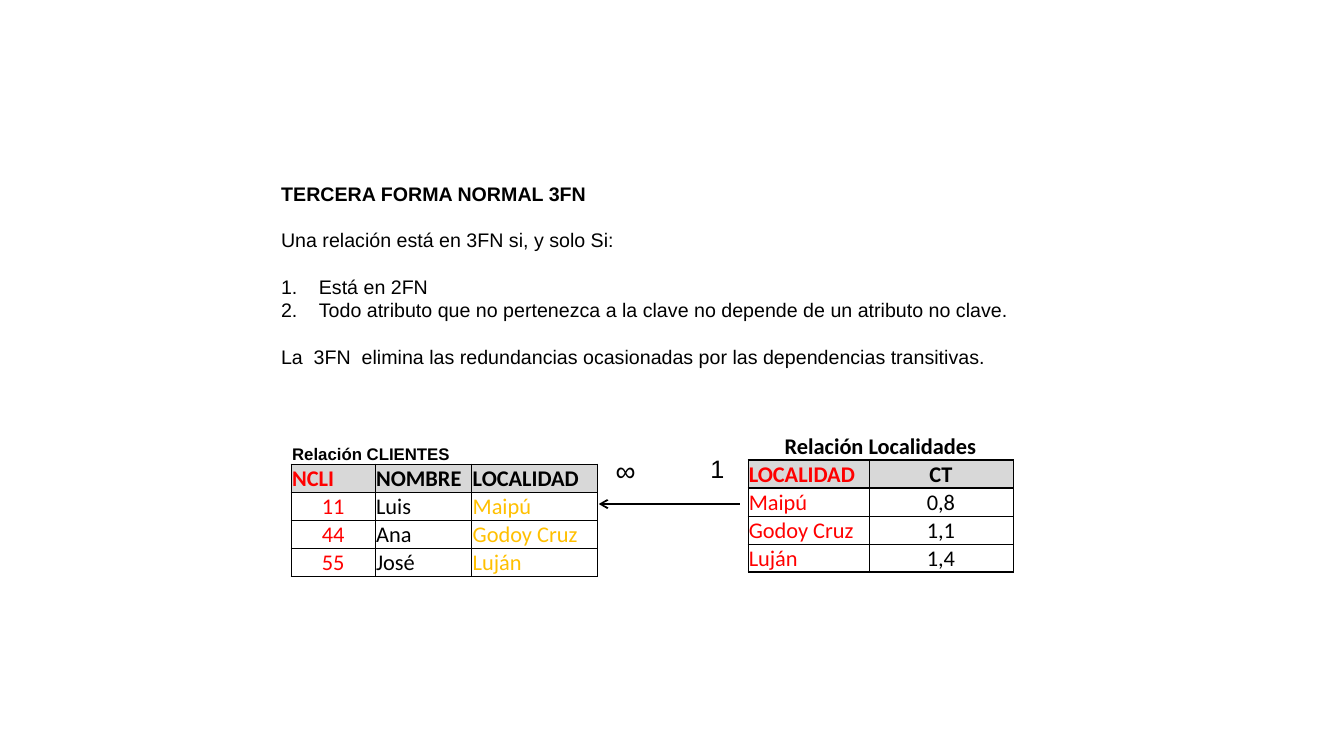
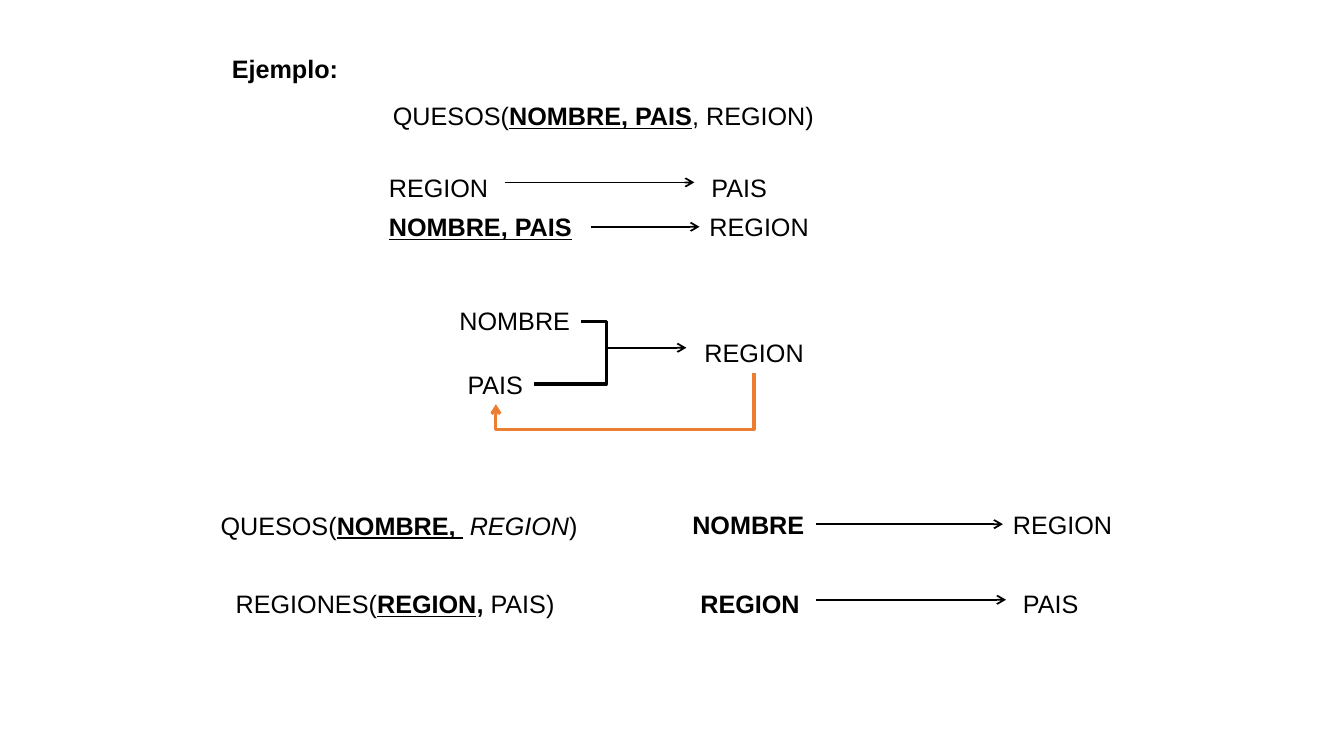
from lxml.etree import SubElement as Sub
from pptx import Presentation
from pptx.dml.color import RGBColor as Rgb
from pptx.enum.shapes import MSO_CONNECTOR as Link
from pptx.enum.text import MSO_ANCHOR as Anchor, MSO_AUTO_SIZE as Fit, PP_ALIGN as Align
from pptx.oxml.ns import qn
from pptx.util import Pt

INK = {"black": "000000", "red": "FF0000", "gold": "FFC000",
       "gray": "D8D8D8", "rust": "ED7D31"}
SIDE = {"l": Align.LEFT, "c": Align.CENTER}


class Deck:
    face = "Arial"
    size = 18
    tall = 29
    row = 20
    lead = 16.8

    def __init__(self):
        self.file = Presentation()
        self.file.slide_width = Pt(960)
        self.file.slide_height = Pt(540)
        self.page = None

    def ink(self, name):
        return Rgb.from_string(INK[name])

    def style(self, para, size=None, face=None, ink="black", bold=False):
        for run in para.runs:
            font = run.font
            font.name = face or self.face
            font.size = Pt(size or self.size)
            font.color.rgb = self.ink(ink)
            font.bold = bold

    def start(self, text, x, y, wide, size=None):
        self.page = self.file.slides.add_slide(self.file.slide_layouts[5])
        head = self.page.shapes.title
        head.left, head.top = Pt(x), Pt(y)
        head.width, head.height = Pt(wide), Pt(self.tall)
        frame = head.text_frame
        frame.text = text
        frame.auto_size = Fit.NONE
        frame.vertical_anchor = Anchor.TOP
        frame.paragraphs[0].alignment = Align.LEFT
        self.style(frame.paragraphs[0], size, bold=True)

    def box(self, x, y, wide, tall):
        return self.page.shapes.add_textbox(Pt(x), Pt(y), Pt(wide), Pt(tall)).text_frame

    def label(self, x, y, wide, *parts, size=None):
        frame = self.box(x, y, wide, self.tall)
        frame.word_wrap = False
        frame.auto_size = Fit.SHAPE_TO_FIT_TEXT
        para = frame.paragraphs[0]
        for text, _ in parts:
            para.add_run().text = text
        self.style(para, size)
        for run, (_, look) in zip(para.runs, parts):
            run.font.bold = "b" in look
            run.font.underline = "u" in look
            run.font.italic = "i" in look

    def notes(self, x, y, wide, tall, size, lines):
        frame = self.box(x, y, wide, tall)
        frame.word_wrap = True
        frame.text = "\n".join(text for text, _, _ in lines)
        for para, (_, gap, count) in zip(frame.paragraphs, lines):
            para.line_spacing = Pt(self.lead)
            para.space_before = Pt(self.lead if gap else 0)
            if count:
                prop = para._p.get_or_add_pPr()
                prop.set("marL", str(Pt(27)))
                prop.set("indent", str(-Pt(27)))
                Sub(prop, qn("a:buFont"), typeface="+mj-lt")
                Sub(prop, qn("a:buAutoNum"), type="arabicPeriod")
            self.style(para, size)

    def line(self, x, y, to_x, to_y, ink="black", thick=1.25, tip=True, kind=Link.STRAIGHT):
        link = self.page.shapes.add_connector(kind, Pt(x), Pt(y), Pt(to_x), Pt(to_y))
        link.line.color.rgb = self.ink(ink)
        link.line.width = Pt(thick)
        if tip:
            Sub(link.line._get_or_add_ln(), qn("a:tailEnd"), type="arrow")
        prop = link._element.spPr
        Sub(prop, qn("a:effectLst"))
        return prop

    def arrow(self, x, y, to_x):
        self.line(x, y, to_x, y)

    def elbow(self, x, y, to_x, to_y, bend, ink="black", tip=False, turn=False):
        if turn:
            mid_x, mid_y = (x + to_x) / 2, (y + to_y) / 2
            half_w, half_h = (to_y - y) / 2, (x - to_x) / 2
            x, to_x = mid_x - half_w, mid_x + half_w
            y, to_y = mid_y - half_h, mid_y + half_h
        prop = self.line(x, y, to_x, to_y, ink, 2.25, tip, Link.ELBOW)
        if turn:
            prop.find(qn("a:xfrm")).set("rot", "5400000")
        shape = prop.find(qn("a:prstGeom"))
        guide = shape.find(qn("a:avLst"))
        if guide is None:
            guide = Sub(shape, qn("a:avLst"))
        Sub(guide, qn("a:gd"), name="adj1", fmla=f"val {round(bend * 100000)}")

    def edge(self, cell, sides):
        prop = cell._tc.get_or_add_tcPr()
        for side in "LRTB":
            if side in sides:
                rule = Sub(prop, qn(f"a:ln{side}"), w=str(Pt(sides[side])))
                fill = Sub(rule, qn("a:solidFill"))
                Sub(fill, qn("a:srgbClr"), val=INK["black"])

    def cell(self, cell, text, side, **look):
        cell.margin_left = cell.margin_right = cell.margin_top = Pt(0.7)
        cell.margin_bottom = 0
        cell.vertical_anchor = Anchor.BOTTOM
        para = cell.text_frame.paragraphs[0]
        para.text = text
        para.alignment = SIDE[side]
        self.style(para, **look)

    def grid(self, x, y, cols, rows, name, inks, sides, left=0.5):
        text, side, face, size, high = name
        tall = high + self.row * len(rows)
        grid = self.page.shapes.add_table(
            len(rows) + 1, len(cols), Pt(x), Pt(y), Pt(sum(cols)), Pt(tall)).table
        grid.first_row = grid.horz_banding = False
        for col, wide in zip(grid.columns, cols):
            col.width = Pt(wide)
        for i, row in enumerate(grid.rows):
            row.height = Pt(self.row if i else high)
        for j in range(len(cols)):
            cap = grid.cell(0, j)
            self.edge(cap, {"B": 1})
            cap.fill.background()
        grid.cell(0, 0).merge(grid.cell(0, len(cols) - 1))
        self.cell(grid.cell(0, 0), text, side, size=size, face=face, bold=True)
        for i, row in enumerate(rows, 1):
            top = i == 1
            for j, word in enumerate(row):
                cell = grid.cell(i, j)
                self.edge(cell, {"L": 0.5 if j else left, "R": 0.5,
                                 "T": 1 if i < 3 else 0.5,
                                 "B": 1 if i in (1, len(rows)) else 0.5})
                if top:
                    cell.fill.solid()
                    cell.fill.fore_color.rgb = self.ink("gray")
                else:
                    cell.fill.background()
                self.cell(cell, word, sides[not top][j], size=16, face="Calibri",
                          ink=inks[not top][j], bold=top)


def form(deck):
    deck.start("TERCERA FORMA NORMAL 3FN", 193.7, 126, 669.6, 14)
    deck.notes(193.7, 159, 669.6, 126, 14, [
        ("Una relación está en 3FN si, y solo Si:", False, False),
        ("Está en 2FN", True, True),
        ("Todo atributo que no pertenezca a la clave no depende de un atributo no clave.",
         False, True),
        ("La  3FN  elimina las redundancias ocasionadas por las dependencias transitivas.",
         True, False)])
    deck.grid(208, 314.6, (60, 69, 90), [
        ("NCLI", "NOMBRE", "LOCALIDAD"),
        ("11", "Luis", "Maipú"),
        ("44", "Ana", "Godoy Cruz"),
        ("55", "José", "Luján")],
        ("Relación CLIENTES", "l", "Arial", 12, 17),
        (("red", "black", "black"), ("red", "black", "gold")), ("lll", "cll"), 1)
    deck.grid(534.2, 308.6, (86.4, 103), [
        ("LOCALIDAD", "CT"),
        ("Maipú", "0,8"),
        ("Godoy Cruz", "1,1"),
        ("Luján", "1,4")],
        ("Relación Localidades", "c", "Calibri", 16, 20),
        (("red", "black"),) * 2, ("lc", "lc"))
    deck.label(500.4, 320.4, 24.5, ("1", ""))
    deck.label(432.7, 320.4, 28.8, ("∞", ""), size=20)
    deck.arrow(528.5, 360, 427.7)


def sample(deck):
    deck.start("Ejemplo:", 158.4, 34.6, 110)
    deck.label(273.6, 68.4, 316, ("QUESOS(", ""), ("NOMBRE, PAIS", "bu"), (", REGION)", ""))
    deck.label(150.5, 360.7, 272, ("QUESOS(", ""), ("NOMBRE, ", "bu"), (" ", ""),
               ("REGION", "i"), (")", ""))
    deck.label(161.3, 416.9, 244, ("REGIONES(", ""), ("REGION", "bu"), (", ", "b"),
               ("PAIS)", ""))
    for x, y, wide, text, look in [
            (270.7, 119.5, 86.4, "REGION", ""),
            (501.1, 119.5, 54.7, "PAIS", ""),
            (270.7, 147.6, 151.2, "NOMBRE, PAIS", "bu"),
            (499.7, 147.6, 86.4, "REGION", ""),
            (321.1, 214.6, 94.3, "NOMBRE", ""),
            (326.9, 259.9, 54.7, "PAIS", ""),
            (496.1, 237.6, 86.4, "REGION", ""),
            (487.4, 360, 95, "NOMBRE", "b"),
            (716.4, 360, 86.4, "REGION", ""),
            (493.2, 416.9, 86.4, "REGION", "b"),
            (723.6, 416.9, 54.7, "PAIS", "")]:
        deck.label(x, y, wide, (text, look))
    for x, y, to_x in [(360.7, 130.3, 496), (421.9, 162, 499.7), (434.2, 248.4, 490.3),
                       (583.2, 374.4, 716.4), (583.2, 428.4, 718.6)]:
        deck.arrow(x, y, to_x)
    deck.elbow(415.4, 229.7, 381.6, 274.3, -0.53)
    deck.elbow(538.6, 266.4, 354.2, 288.7, 1.8, "rust", True, True)


def main():
    deck = Deck()
    form(deck)
    sample(deck)
    deck.file.save("out.pptx")


if __name__ == "__main__":
    main()
